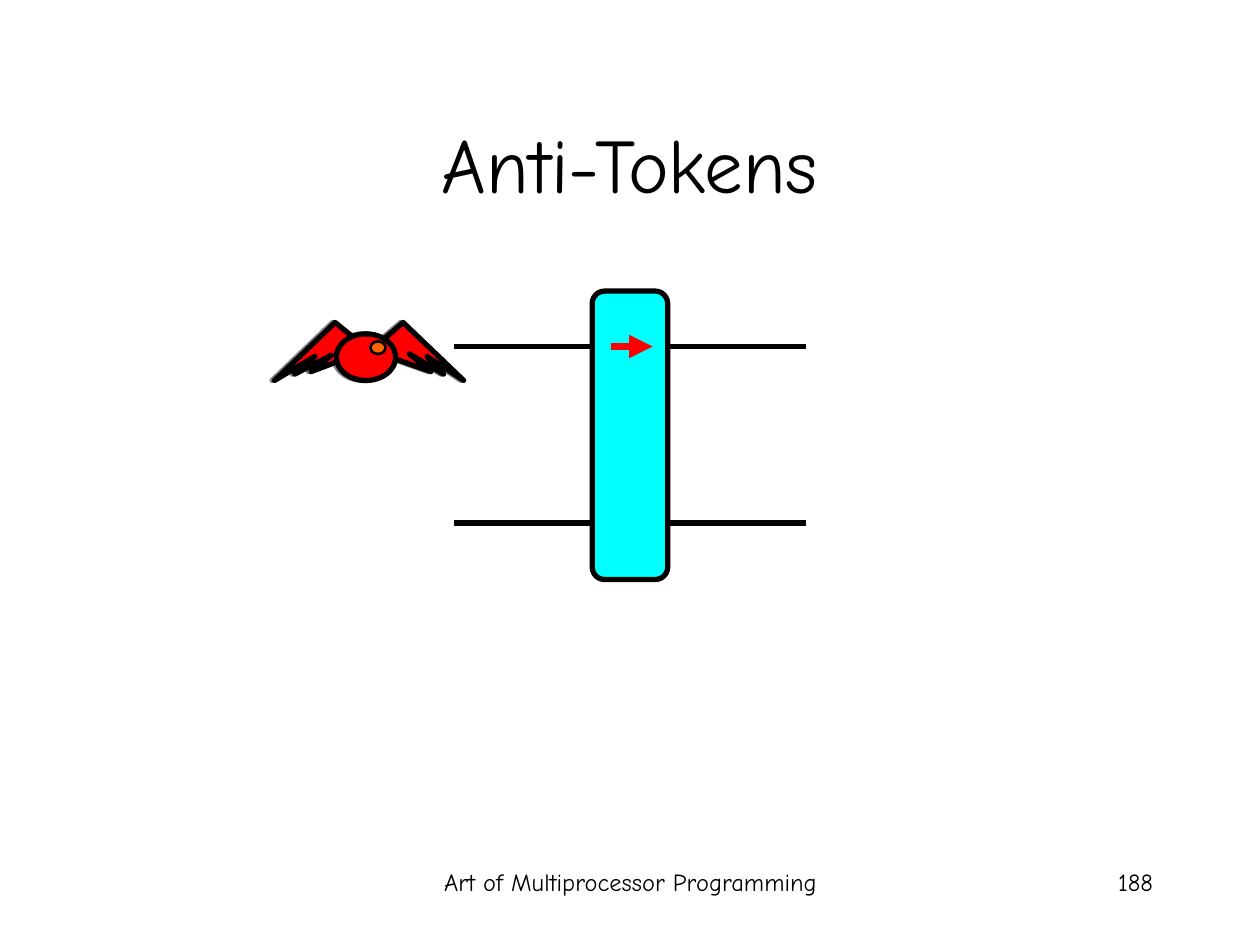
from pptx import Presentation
from pptx.dml.color import RGBColor
from pptx.enum.shapes import MSO_CONNECTOR, MSO_SHAPE
from pptx.enum.text import MSO_ANCHOR, MSO_AUTO_SIZE, PP_ALIGN
from pptx.oxml.ns import qn
from pptx.util import Pt
from lxml import etree

PX = 9144  # EMU per px, 100 px to the inch
FONT = "Comic Neue"
COLORS = {"ink": "000000", "balancer": "00FFFF", "token": "FF0000",
          "shine": "FF6600", "shadow": "808080"}
STRAIGHT = MSO_CONNECTOR.STRAIGHT
OVAL, ROUNDED = MSO_SHAPE.OVAL, MSO_SHAPE.ROUNDED_RECTANGLE
TOP, MIDDLE = MSO_ANCHOR.TOP, MSO_ANCHOR.MIDDLE
CENTER, RIGHT = PP_ALIGN.CENTER, PP_ALIGN.RIGHT
NO_FIT = MSO_AUTO_SIZE.NONE

# Token parts, relative to the token's top left corner
RIGHT_WING = [(81, 18), (102, 0), (150, 46), (121, 27),
              (134, 41), (107, 25), (124, 39), (76, 22)]
LEFT_WING = [(69, 17), (48, 0), (0, 46), (32, 27),
             (16, 41), (45, 26), (29, 39), (74, 22)]
BODY = (49, 9, 47, 37)
SHINE = (76, 15, 12, 10)


def px(*lengths):
    return [length * PX for length in lengths]


def color(name):
    return RGBColor.from_string(COLORS[name])


def paint(shape, fill, line, width=3):
    shape.shadow.inherit = False
    shape.fill.solid()
    shape.fill.fore_color.rgb = color(fill)
    shape.line.color.rgb = color(line)
    shape.line.width = Pt(width)


def write(shape, text, size, align, anchor):
    frame = shape.text_frame
    frame_format = {"word_wrap": True, "auto_size": NO_FIT, "vertical_anchor": anchor}
    for name, value in frame_format.items():
        setattr(frame, name, value)
    para = frame.paragraphs[0]
    para.alignment = align
    span = para.add_run()
    span.text = text
    for name, value in {"name": FONT, "size": Pt(size)}.items():
        setattr(span.font, name, value)
    span.font.color.rgb = color("ink")


def add_title(page, box, text):
    title = page.shapes.title
    for name, value in zip(("left", "top", "width", "height"), px(*box)):
        setattr(title, name, value)
    write(title, text, 44, CENTER, MIDDLE)


def add_line(page, start, end, line, width, arrow=False):
    connector = page.shapes.add_connector(STRAIGHT, *px(*start, *end))
    connector.line.color.rgb = color(line)
    connector.line.width = Pt(width)
    properties = connector._element.spPr
    if arrow:
        etree.SubElement(properties.find(qn("a:ln")), qn("a:tailEnd"), type="triangle")
    etree.SubElement(properties, qn("a:effectLst"))


def add_balancer(page, box):
    """Two wires passing behind a rounded bar."""
    left, top, width, height = box
    wires = (top + 44, top + 184)
    for y in wires:
        add_line(page, (left - 110, y), (left + width + 110, y), "ink", 3)
    bar = page.shapes.add_shape(ROUNDED, *px(*box))
    paint(bar, "balancer", "ink")


def add_token(page, left, top, fill, shine, line):
    """A winged ball, drawn as one group."""
    shapes = page.shapes.add_group_shape().shapes
    for wing in (RIGHT_WING, LEFT_WING):
        builder = shapes.build_freeform(*wing[0], scale=PX)
        builder.add_line_segments(wing[1:], close=True)
        paint(builder.convert_to_shape(*px(left, top)), fill, line)
    for (x, y, width, height), inside, weight in ((BODY, fill, 3), (SHINE, shine, 1.5)):
        oval = shapes.add_shape(OVAL, *px(left + x, top + y, width, height))
        paint(oval, inside, line, weight)


def add_footer(page, box, text, align):
    write(page.shapes.add_textbox(*px(*box)), text, 14, align, TOP)


def main():
    deck = Presentation()
    deck.slide_width, deck.slide_height = px(1000, 750)
    page = deck.slides.add_slide(deck.slide_layouts[5])

    add_title(page, (75, 67, 850, 125), "Anti-Tokens")

    # Balancer with its direction arrow
    add_balancer(page, (470, 231, 60, 229))
    add_line(page, (485, 275), (518, 275), "token", 4.5, arrow=True)

    # Anti-token over its shadow
    add_token(page, 216, 256, "shadow", "shadow", "shadow")
    add_token(page, 218, 256, "token", "shine", "ink")

    # Footer and page number
    add_footer(page, (342, 683, 317, 50), "Art of Multiprocessor Programming", CENTER)
    add_footer(page, (717, 683, 208, 50), "188", RIGHT)

    deck.save("out.pptx")


if __name__ == "__main__":
    main()
